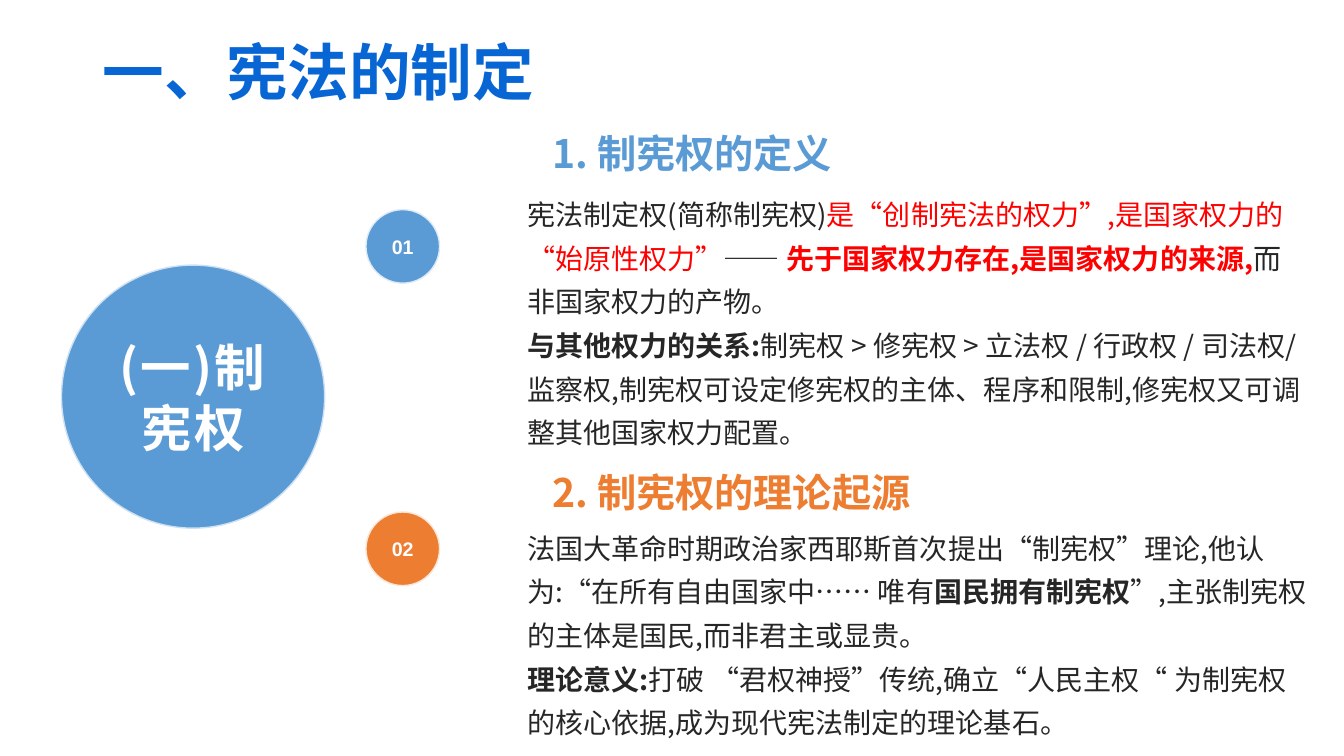
from lxml.etree import SubElement
from pptx import Presentation
from pptx.dml.color import RGBColor
from pptx.enum.shapes import MSO_SHAPE
from pptx.enum.text import MSO_ANCHOR, PP_ALIGN
from pptx.oxml.ns import qn
from pptx.util import Inches, Pt

TITLE_BLUE = RGBColor(0x07, 0x66, 0xD4)
BLUE = RGBColor(0x5B, 0x9B, 0xD5)
ORANGE = RGBColor(0xED, 0x7D, 0x31)
BIG_RIM = RGBColor(0xCE, 0xE1, 0xF2)
BLUE_RIM = RGBColor(0xDE, 0xEB, 0xF7)
ORANGE_RIM = RGBColor(0xFB, 0xE5, 0xD6)
INK = RGBColor(0x26, 0x26, 0x26)
RED = RGBColor(0xFF, 0x00, 0x00)
WHITE = RGBColor(0xFF, 0xFF, 0xFF)
CJK = "Noto Sans CJK SC"
LATIN = "Arial"

# Each run is (text, colour, bold).
DEFINITION = [
    [("宪法制定权(简称制宪权)", INK, False),
     ("是“创制宪法的权力”,是国家权力的 “始原性权力”", RED, False),
     ("—— ", INK, False),
     ("先于国家权力存在,是国家权力的来源,", RED, True),
     ("而非国家权力的产物。", INK, False)],
    [("与其他权力的关系:", INK, True),
     ("制宪权 > 修宪权 > 立法权 / 行政权 / 司法权/ 监察权,制宪权可设定修宪权的主体、"
      "程序和限制,修宪权又可调整其他国家权力配置。", INK, False)],
]
ORIGIN = [
    [("法国大革命时期政治家西耶斯首次提出“制宪权”理论,他认为:"
      "“在所有自由国家中…… 唯有", INK, False),
     ("国民拥有制宪权", INK, True),
     ("”,主张制宪权的主体是国民,而非君主或显贵。", INK, False)],
    [("理论意义:", INK, True),
     ("打破 “君权神授”传统,确立“人民主权“ 为制宪权的核心依据,"
      "成为现代宪法制定的理论基石。", INK, False)],
]


class Deck:
    def __init__(self):
        self.prs = Presentation()
        self.prs.slide_width = Inches(13.33)
        self.prs.slide_height = Inches(7.5)
        self.s = self.prs.slides.add_slide(self.prs.slide_layouts[5])

    def run(self, p, text, size, color, bold=True, font=CJK, spacing=0):
        r = p.add_run()
        r.text = text
        r.font.size = Pt(size)
        r.font.bold = bold
        r.font.name = font
        r.font.color.rgb = color
        rpr = r.font._element
        SubElement(rpr, qn("a:ea")).set("typeface", CJK)
        if spacing:
            rpr.set("spc", str(round(spacing * 100)))

    def title(self, text):
        sp = self.s.shapes.title
        sp.left, sp.top = Inches(0.92), Inches(0.23)
        sp.width, sp.height = Inches(11.5), Inches(1.04)
        tf = sp.text_frame
        tf.vertical_anchor = MSO_ANCHOR.MIDDLE
        p = tf.paragraphs[0]
        p.alignment = PP_ALIGN.LEFT
        p.line_spacing = 0.9
        self.run(p, text, 44, TITLE_BLUE, font=LATIN)

    def text_box(self, x, y, w, h, bottom=0):
        tf = self.s.shapes.add_textbox(Inches(x), Inches(y), Inches(w), Inches(h)).text_frame
        tf.word_wrap = True
        tf.margin_left = tf.margin_right = tf.margin_top = 0
        tf.margin_bottom = Inches(bottom)
        return tf

    def heading(self, y, h, text, color):
        tf = self.text_box(5.48, y, 7.48, h, bottom=0.04)
        tf.vertical_anchor = MSO_ANCHOR.BOTTOM
        self.run(tf.paragraphs[0], text, 28, color)

    def body(self, y, h, paragraphs):
        tf = self.text_box(5.23, y, 7.74, h)
        for i, runs in enumerate(paragraphs):
            p = tf.add_paragraph() if i else tf.paragraphs[0]
            p.line_spacing = 1.3
            for text, color, bold in runs:
                self.run(p, text, 20, color, bold)

    def circle(self, x, y, d, fill, rim, text, size, font=CJK, spacing=0, wrap=False):
        sp = self.s.shapes.add_shape(MSO_SHAPE.OVAL, Inches(x), Inches(y), Inches(d), Inches(d))
        sp.shadow.inherit = False
        sp.fill.solid()
        sp.fill.fore_color.rgb = fill
        sp.line.color.rgb = rim
        sp.line.width = Pt(1)
        tf = sp.text_frame
        tf.word_wrap = wrap
        tf.vertical_anchor = MSO_ANCHOR.MIDDLE
        tf.margin_left = tf.margin_right = tf.margin_top = tf.margin_bottom = 0
        p = tf.paragraphs[0]
        p.alignment = PP_ALIGN.CENTER
        self.run(p, text, size, WHITE, font=font, spacing=spacing)


def main():
    deck = Deck()
    deck.title("一、宪法的制定")
    deck.heading(4.16, 0.99, "2. 制宪权的理论起源", ORANGE)
    deck.heading(0.94, 0.85, "1. 制宪权的定义", BLUE)
    deck.body(1.86, 2.63, DEFINITION)
    deck.body(5.17, 2.24, ORIGIN)
    deck.circle(0.61, 2.63, 2.61, BLUE, BIG_RIM, "(一)制宪权", 36, spacing=1.5, wrap=True)
    for y, fill, rim, number in [(5.08, ORANGE, ORANGE_RIM, "02"), (2.08, BLUE, BLUE_RIM, "01")]:
        deck.circle(3.63, y, 0.73, fill, rim, number, 14, font=LATIN)
    deck.prs.save("out.pptx")


if __name__ == "__main__":
    main()
